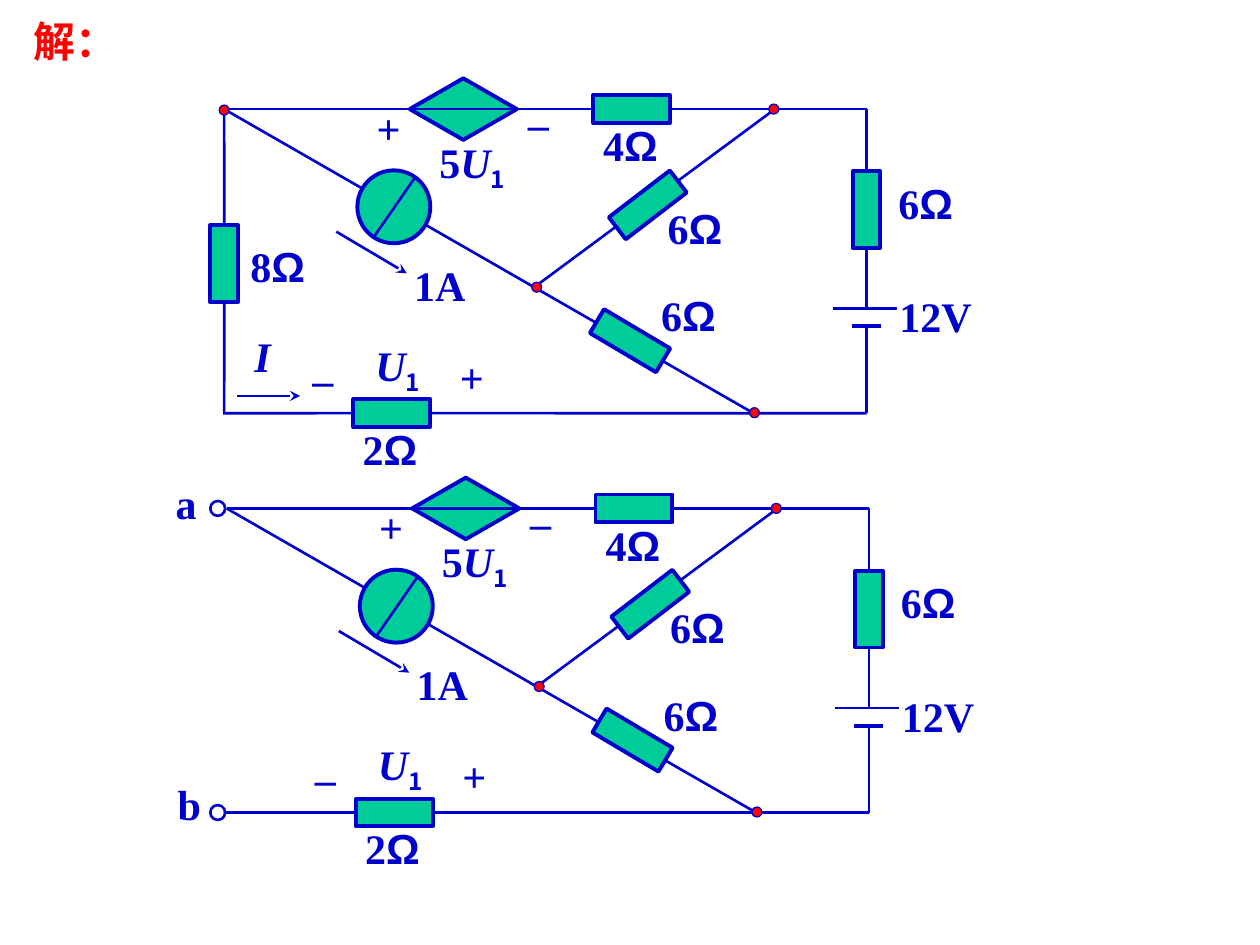
from dataclasses import dataclass

from lxml.etree import SubElement
from pptx import Presentation
from pptx.dml.color import RGBColor
from pptx.enum.shapes import MSO_CONNECTOR, MSO_SHAPE
from pptx.enum.text import MSO_ANCHOR, PP_ALIGN
from pptx.oxml.ns import qn
from pptx.slide import Slide
from pptx.util import Cm, Pt

BLUE, GREEN, RED = "0000CC", "00CC99", "FF0000"


@dataclass
class Box:
    """A region of the slide with its top left corner in centimetres."""
    slide: Slide
    left: float
    top: float

    def spot(self, x, y):
        """Return a point of the region as slide lengths."""
        return Cm(self.left + x), Cm(self.top + y)


def paint(color, tone):
    """Set a colour from a hex string."""
    color.rgb = RGBColor.from_string(tone)


def part(box, kind, x, y, wide, high, fill=GREEN, weight=2.25, turn=0):
    """Add an outlined shape centred on a point."""
    shape = box.slide.shapes.add_shape(
        kind, *box.spot(x - wide / 2, y - high / 2), Cm(wide), Cm(high))
    shape.shadow.inherit = False
    shape.rotation = turn
    if fill:
        shape.fill.solid()
        paint(shape.fill.fore_color, fill)
    else:
        shape.fill.background()
    paint(shape.line.color, BLUE)
    shape.line.width = Pt(weight)
    return shape


def resist(box, x, y, turn=0, upright=False):
    """Add a resistor centred on a point."""
    size = (0.56, 1.55) if upright else (1.55, 0.56)
    return part(box, MSO_SHAPE.RECTANGLE, x, y, *size, turn=turn)


def node(box, x, y):
    """Add a red junction dot."""
    part(box, MSO_SHAPE.OVAL, x, y, 0.2, 0.2, RED, 0.75)


def wire(box, start, end, first=None, last=None, weight=1.5, arrow=False):
    """Add a line, joined to (shape, site) pairs where given."""
    line = box.slide.shapes.add_connector(
        MSO_CONNECTOR.STRAIGHT, *box.spot(*start), *box.spot(*end))
    paint(line.line.color, BLUE)
    line.line.width = Pt(weight)
    if first:
        line.begin_connect(*first)
    if last:
        line.end_connect(*last)
    props = line.element.spPr
    if arrow:
        SubElement(props.find(qn("a:ln")), qn("a:tailEnd"), type="stealth")
    SubElement(props, qn("a:effectLst"))


def label(box, x, y, wide, *bits, tone=BLUE, sign=False):
    """Add a label whose bits starting with an underscore are subscripts."""
    high = 1.42 if "_1" in bits else 1.27
    text = box.slide.shapes.add_textbox(
        *box.spot(x, y), Cm(wide), Cm(high)).text_frame
    text.word_wrap = not sign
    para = text.paragraphs[0]
    if sign:
        text.vertical_anchor = MSO_ANCHOR.MIDDLE
        para.alignment = PP_ALIGN.CENTER
    para.font.size = Pt(24)
    para.font.bold = True
    para.font.name = "Times New Roman"
    paint(para.font.color, tone)
    for bit in bits:
        run = para.add_run()
        run.text = bit.lstrip("_")
        if bit == "Ω":
            run.font.name = "Arial"
        elif bit in ("U", "I"):
            run.font.italic = True
        elif bit.startswith("_"):
            run.font.name = "Noto Sans CJK SC"
            run.font._element.set("baseline", "-25000")


def circuit(box):
    """Draw the network that both diagrams share."""
    wire(box, (1.98, 0.93), (12.65, 7.06))
    wire(box, (13.08, 0.93), (8.23, 4.52))

    gem = part(box, MSO_SHAPE.DIAMOND, 6.8, 0.93, 2.16, 1.24)
    four = resist(box, 10.19, 0.93)
    two = resist(box, 5.36, 7.06)
    side = resist(box, 14.93, 2.96, upright=True)
    resist(box, 10.16, 5.6, turn=30.7)
    resist(box, 10.52, 2.86, turn=322.5)
    part(box, MSO_SHAPE.OVAL, 5.4, 2.9, 1.47, 1.47)
    wire(box, (5.84, 2.29), (4.98, 3.53))

    wire(box, (1.98, 0.93), (5.72, 0.93), last=(gem, 1))
    wire(box, (5.72, 0.93), (7.88, 0.93), (gem, 1), (gem, 3))
    wire(box, (7.88, 0.93), (9.41, 0.93), (gem, 3), (four, 1))
    wire(box, (10.97, 0.93), (14.93, 0.93), (four, 3))
    wire(box, (14.93, 0.93), (14.93, 2.18), last=(side, 0))
    wire(box, (14.93, 3.74), (14.93, 4.95), (side, 2))
    wire(box, (14.25, 4.95), (15.54, 4.95))
    wire(box, (14.63, 5.31), (15.21, 5.31), weight=2.25)
    wire(box, (14.93, 5.31), (14.93, 7.06))
    wire(box, (1.96, 7.06), (4.59, 7.06), last=(two, 1))
    wire(box, (6.13, 7.06), (14.93, 7.06), (two, 3))
    wire(box, (4.24, 3.4), (5.66, 4.24), arrow=True)

    for x, y in (12.67, 7.05), (13.06, 0.93), (8.28, 4.52):
        node(box, x, y)
    for spec in (
        (4.52, 7.14, 1.8, "2", "Ω"),
        (9.37, 1.02, 1.96, "4", "Ω"),
        (10.67, 2.69, 1.85, "6", "Ω"),
        (10.54, 4.45, 1.98, "6", "Ω"),
        (15.32, 2.18, 2.11, "6", "Ω"),
        (6.07, 1.35, 1.98, "5", "U", "_1"),
        (4.78, 5.44, 1.52, "U", "_1"),
        (5.56, 3.84, 1.57, "1A"),
        (15.34, 4.47, 2.31, "12V"),
    ):
        label(box, *spec)
    for spec in (
        (4.8, 0.66, 0.99, "+"),
        (7.85, 0.56, 0.91, "–"),
        (6.48, 5.69, 0.99, "+"),
        (3.51, 5.72, 0.91, "–"),
    ):
        label(box, *spec, sign=True)


def branch(box):
    """Close the left side of a circuit with the 8Ω resistor."""
    eight = resist(box, 1.98, 4.05, upright=True)
    wire(box, (1.98, 0.93), (1.98, 3.28), last=(eight, 0))
    wire(box, (1.98, 4.83), (1.98, 7.06), (eight, 2))
    wire(box, (2.24, 6.71), (3.51, 6.71), arrow=True)
    node(box, 1.98, 0.95)
    label(box, 2.26, 3.45, 1.96, "8", "Ω")
    label(box, 2.34, 5.26, 0.86, "I")


def ports(box):
    """Leave the left side of a circuit open at terminals a and b."""
    for y, x, top, name in (0.93, 0.69, 0.18, "a"), (7.06, 0.74, 6.25, "b"):
        part(box, MSO_SHAPE.OVAL, 1.8, y, 0.3, 0.3, None, 1.5)
        label(box, x, top, 0.94, name, sign=True)


def main():
    """Build the slide and save it."""
    deck = Presentation()
    deck.slide_width, deck.slide_height = Cm(25.4), Cm(19.05)
    slide = deck.slides.add_slide(deck.slide_layouts[6])
    label(Box(slide, 0, 0), 0.43, 0.18, 11.84, "解：", tone=RED)
    upper, lower = Box(slide, 2.54, 1.27), Box(slide, 2.59, 9.32)
    circuit(upper)
    branch(upper)
    circuit(lower)
    ports(lower)
    deck.save("out.pptx")


if __name__ == "__main__":
    main()
